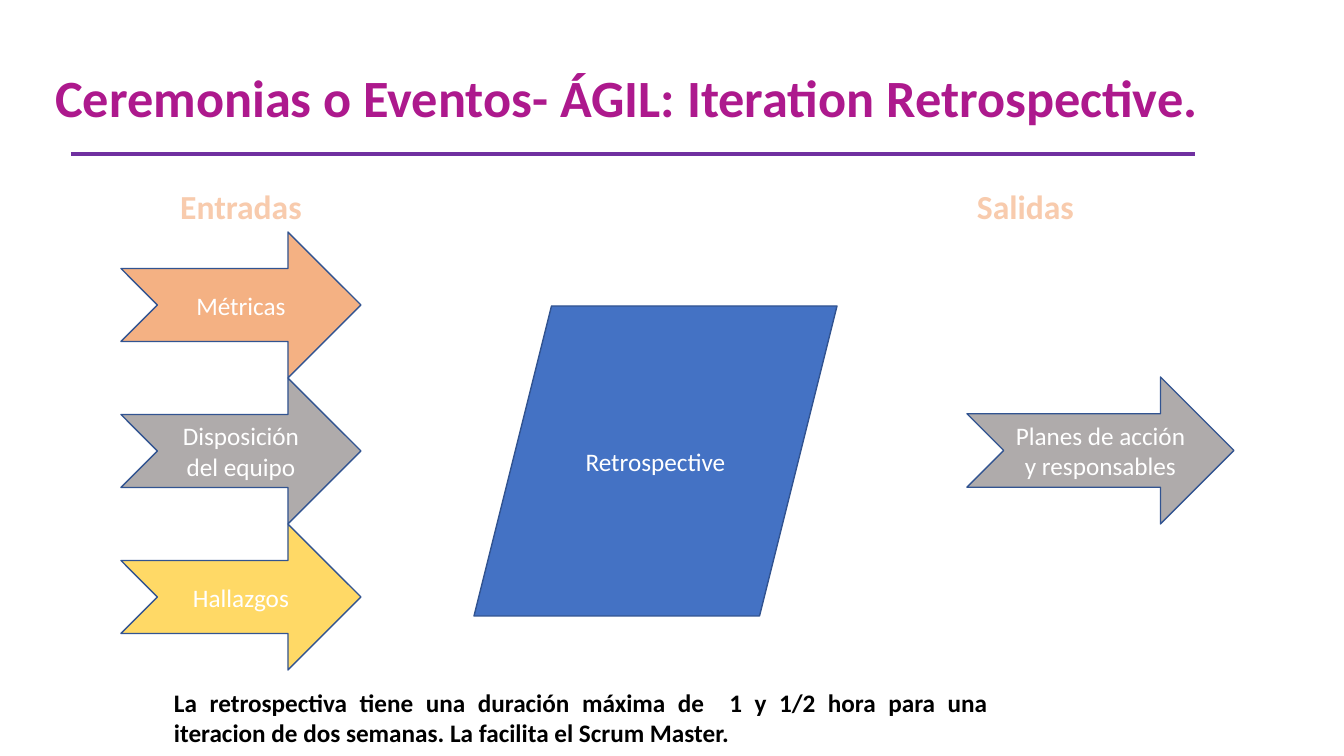
from lxml import etree
from pptx import Presentation
from pptx.dml.color import RGBColor
from pptx.enum.shapes import MSO_CONNECTOR, MSO_SHAPE
from pptx.enum.text import MSO_ANCHOR, MSO_AUTO_SIZE, PP_ALIGN
from pptx.oxml.ns import qn
from pptx.util import Pt

PX = 914400 / 100.8
ARROW = MSO_SHAPE.NOTCHED_RIGHT_ARROW
rgb = RGBColor.from_string


def px(*lengths):
    return [round(length * PX) for length in lengths]


def write(shape, text, size, color, align, bold=False):
    frame = shape.text_frame
    frame.text = text
    para = frame.paragraphs[0]
    para.alignment = align
    font = para.runs[0].font
    font.name, font.size, font.bold = "Calibri", Pt(size), bold
    font.color.rgb = rgb(color)
    return frame


deck = Presentation()
deck.slide_width, deck.slide_height = px(1344, 756)
page = deck.slides.add_slide(deck.slide_layouts[5])

# Title
title = page.shapes.title
title.left, title.top, title.width, title.height = px(45, 72, 1175, 61)
frame = write(title, "Ceremonias o Eventos- ÁGIL: Iteration Retrospective.",
              37.4, "AD198D", PP_ALIGN.LEFT, bold=True)
frame.auto_size = MSO_AUTO_SIZE.NONE
frame.word_wrap = True
frame.vertical_anchor = MSO_ANCHOR.MIDDLE
frame.paragraphs[0].line_spacing = 0.8

# Rule under the title
rule = page.shapes.add_connector(MSO_CONNECTOR.STRAIGHT, *px(71, 154, 1195, 154))
rule.line.color.rgb = rgb("7030A0")
rule.line.width = Pt(2.25)
etree.SubElement(rule._element.spPr, qn("a:effectLst"))

# Inputs, ceremony and output
inputs = [("Métricas", "F4B183"), ("Disposición del equipo", "AFABAB"),
          ("Hallazgos", "FFD966")]
steps = [(ARROW, text, fill, (121, 232 + 146 * row, 240, 146))
         for row, (text, fill) in enumerate(inputs)]
steps += [
    (MSO_SHAPE.PARALLELOGRAM, "Retrospective", "4472C4", (474, 306, 363, 310)),
    (ARROW, "Planes de acción y responsables", "AFABAB", (967, 377, 267, 147)),
]
for kind, text, fill, place in steps:
    step = page.shapes.add_shape(kind, *px(*place))
    step.shadow.inherit = False
    step.fill.solid()
    step.fill.fore_color.rgb = rgb(fill)
    step.line.color.rgb = rgb("325491")
    step.line.width = Pt(1)
    frame = write(step, text, 18, "FFFFFF", PP_ALIGN.CENTER)
    frame.word_wrap = True
    frame.vertical_anchor = MSO_ANCHOR.MIDDLE

# Note on the duration
note = page.shapes.add_textbox(*px(164, 682, 834, 72))
frame = write(note, "La retrospectiva tiene una duración máxima de  1 y 1/2 hora para una "
              "iteracion de dos semanas. La facilita el Scrum Master.",
              18, "000000", PP_ALIGN.JUSTIFY, bold=True)
frame.word_wrap = True
frame.auto_size = MSO_AUTO_SIZE.SHAPE_TO_FIT_TEXT

# Column headings
for text, left, width in [("Entradas", 170, 142), ("Salidas", 967, 117)]:
    heading = page.shapes.add_textbox(*px(left, 181, width, 50))
    frame = write(heading, text, 24, "F8CBAD", PP_ALIGN.CENTER, bold=True)
    frame.word_wrap = False
    frame.auto_size = MSO_AUTO_SIZE.SHAPE_TO_FIT_TEXT

deck.save("out.pptx")
